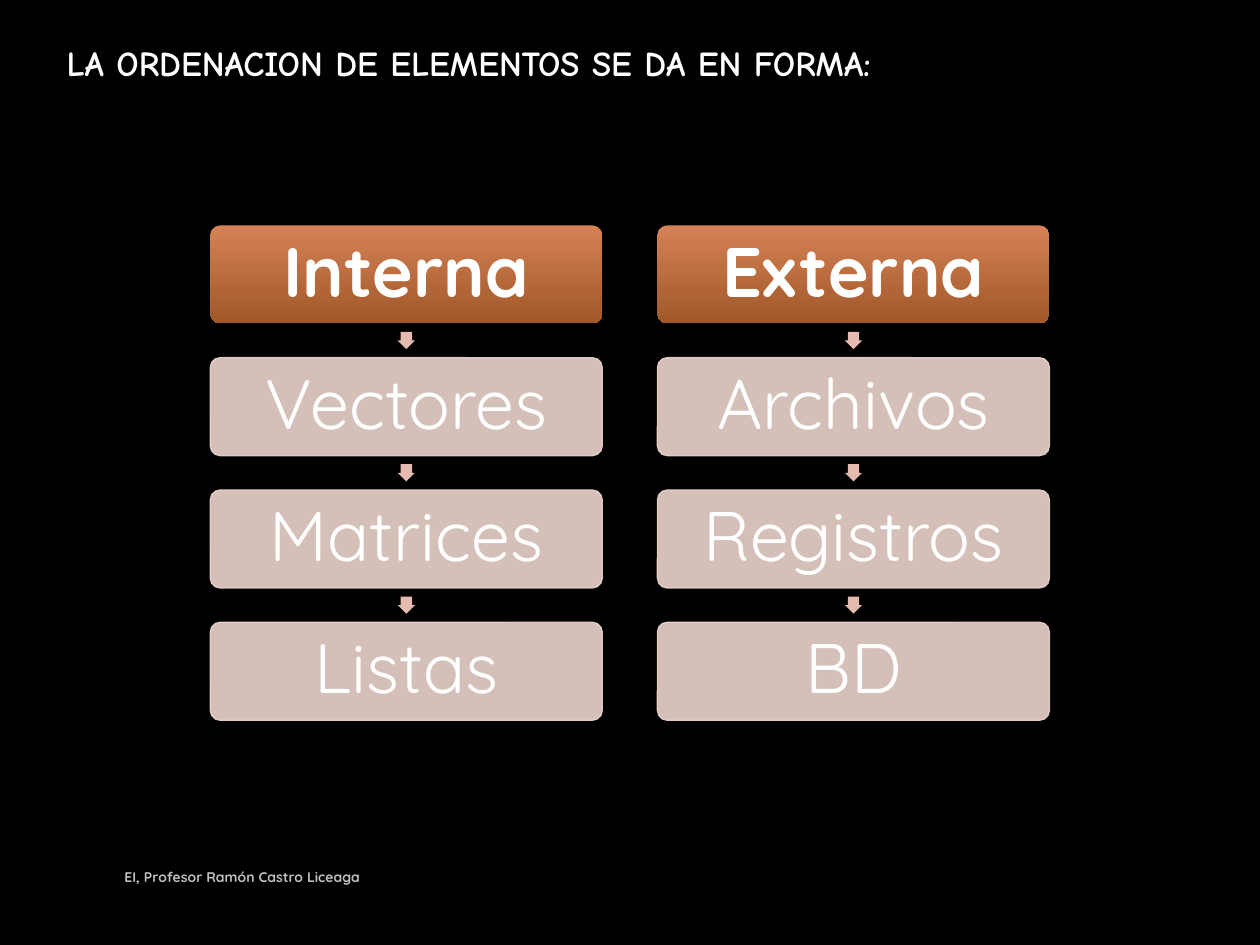
from lxml import etree
from pptx import Presentation, util as u
from pptx.dml.color import RGBColor
from pptx.enum import shapes, text
from pptx.oxml.ns import qn


def color(value):
    return RGBColor.from_string(value)


class SlideBuilder:
    """Holds the style and the current slide, and draws each kind of element."""

    body_font = "Quicksand"
    title_font = "Comic Neue"
    white = "FFFFFF"
    grey = "BFBFBF"
    header_stops = ("D48256", "A15828")
    item_fill = "EDD5CE"
    arrow_fill = "E4BBAE"
    opacity = 90

    def __init__(self, deck):
        self.page = deck.slides.add_slide(deck.slide_layouts[6])
        self.page.background.fill.solid()
        self.page.background.fill.fore_color.rgb = color("000000")

    def add_words(self, frame, words, size, font, ink, bold):
        frame.word_wrap = True
        frame.vertical_anchor = text.MSO_ANCHOR.MIDDLE
        para = frame.paragraphs[0]
        span = para.add_run()
        span.text = words
        span.font.size = u.Pt(size)
        span.font.name = font
        span.font.bold = bold
        span.font.color.rgb = color(ink)
        return para

    def label(self, words, left, top, width, height, size, font, ink):
        box = self.page.shapes.add_textbox(*map(u.Pt, (left, top, width, height)))
        self.add_words(box.text_frame, words, size, font, ink, True)

    def shape(self, kind, left, top, width, height):
        shape = self.page.shapes.add_shape(kind, *map(u.Pt, (left, top, width, height)))
        shape.shadow.inherit = False
        return shape

    def fade(self, box):
        for tone in box.element.spPr.iter(qn("a:srgbClr")):
            etree.SubElement(tone, qn("a:alpha"), val=str(self.opacity * 1000))

    def card(self, words, left, top, width, height, header):
        box = self.shape(shapes.MSO_SHAPE.ROUNDED_RECTANGLE, left, top, width, height)
        box.adjustments[0] = 0.1
        if header:
            box.fill.gradient()
            box.fill.gradient_angle = 270
            for stop, tone, position in zip(box.fill.gradient_stops, self.header_stops, (0, 1)):
                stop.color.rgb = color(tone)
                stop.position = position
            box.line.fill.background()
        else:
            box.line.width = u.Pt(0.75)
            for fill in (box.fill, box.line.fill):
                fill.solid()
                fill.fore_color.rgb = color(self.item_fill)
            self.fade(box)
        frame = box.text_frame
        frame.margin_left = frame.margin_right = u.Pt(4)
        frame.margin_top = frame.margin_bottom = u.Pt(4)
        para = self.add_words(frame, words, 40, self.body_font, self.white, header)
        para.alignment = text.PP_ALIGN.CENTER
        para.line_spacing = 0.9

    def down_arrow(self, center_x, center_y, size):
        arrow = self.shape(
            shapes.MSO_SHAPE.RIGHT_ARROW, center_x - size / 2, center_y - size / 2, size, size
        )
        arrow.rotation = 90
        arrow.adjustments[0] = 0.667
        arrow.adjustments[1] = 0.5
        arrow.fill.solid()
        arrow.fill.fore_color.rgb = color(self.arrow_fill)
        arrow.line.fill.background()


def main():
    deck = Presentation()
    deck.slide_width, deck.slide_height = u.Pt(720), u.Pt(540)
    builder = SlideBuilder(deck)

    builder.label("EI, Profesor Ramón Castro Liceaga", 64, 486.5, 443, 29, 8,
                  builder.body_font, builder.grey)

    columns = (
        ("Interna", "Vectores", "Matrices", "Listas"),
        ("Externa", "Archivos", "Registros", "BD"),
    )
    width, height = 224, 56
    column_step, row_step = 255.5, 75.6
    for column, words in enumerate(columns):
        left = 120.2 + column * column_step
        for row, word in enumerate(words):
            top = 128.8 + row * row_step
            if row:
                gap_middle = top - (row_step - height) / 2
                builder.down_arrow(left + width / 2, gap_middle, 9.8)
            builder.card(word, left, top, width, height, header=row == 0)

    builder.label("LA ORDENACION DE ELEMENTOS SE DA EN FORMA:", 31, 20.2, 646.5, 31, 20,
                  builder.title_font, builder.white)
    deck.save("out.pptx")


if __name__ == "__main__":
    main()
